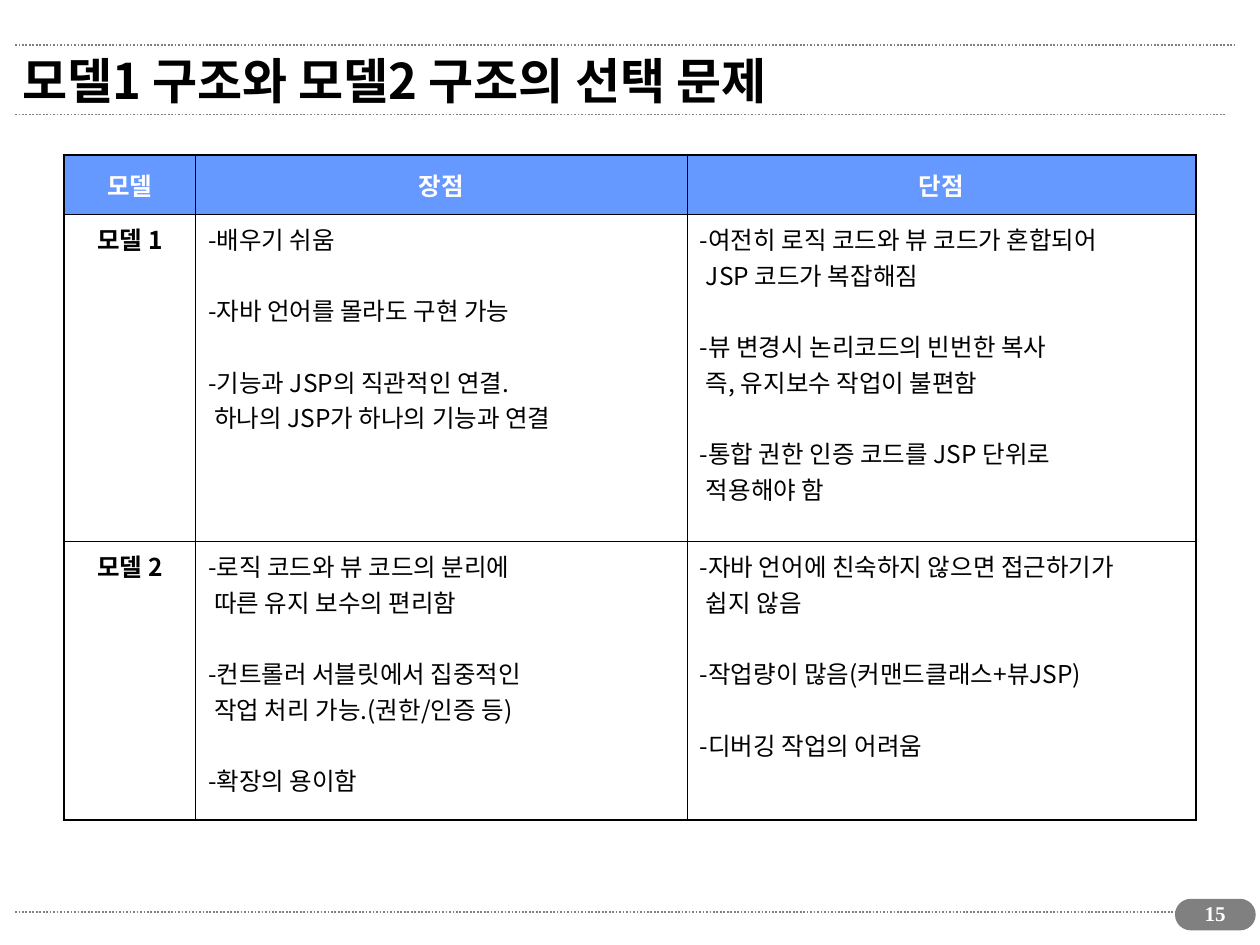
from lxml.etree import SubElement
from pptx import Presentation
from pptx.dml.color import RGBColor
from pptx.enum.dml import MSO_LINE
from pptx.enum.shapes import MSO_CONNECTOR, MSO_SHAPE
from pptx.enum.text import MSO_ANCHOR, MSO_AUTO_SIZE, PP_ALIGN
from pptx.oxml.ns import qn
from pptx.util import Pt

SANS = "Noto Sans CJK KR"
SERIF = "Times New Roman"
GREY = "808080"
BLACK = "000000"
WHITE = "FFFFFF"
BLUE = "6699FF"

HEADS = ["모델", "장점", "단점"]
MODELS = [
    (
        "모델 1",
        ["-배우기 쉬움",
         "-자바 언어를 몰라도 구현 가능",
         "-기능과 JSP의 직관적인 연결.\n하나의 JSP가 하나의 기능과 연결"],
        ["-여전히 로직 코드와 뷰 코드가 혼합되어\nJSP 코드가 복잡해짐",
         "-뷰 변경시 논리코드의 빈번한 복사\n즉, 유지보수 작업이 불편함",
         "-통합 권한 인증 코드를 JSP 단위로\n적용해야 함"],
    ),
    (
        "모델 2",
        ["-로직 코드와 뷰 코드의 분리에\n따른 유지 보수의 편리함",
         "-컨트롤러 서블릿에서 집중적인\n작업 처리 가능.(권한/인증 등)",
         "-확장의 용이함"],
        ["-자바 언어에 친숙하지 않으면 접근하기가\n쉽지 않음",
         "-작업량이 많음(커맨드클래스+뷰JSP)",
         "-디버깅 작업의 어려움"],
    ),
]
WIDTHS = [75, 281, 290.6]
HEIGHTS = [34, 187, 159]


def color(code):
    return RGBColor.from_string(code)


def style(para, face, size, code, bold=False, align=PP_ALIGN.LEFT):
    para.alignment = align
    font = para.font
    font.name, font.size, font.bold = face, Pt(size), bold
    font.color.rgb = color(code)
    SubElement(font._element, qn("a:ea"), typeface=face)


def add_rule(slide, right, top):
    rule = slide.shapes.add_connector(
        MSO_CONNECTOR.STRAIGHT, Pt(8.6), Pt(top), Pt(right), Pt(top))
    rule.line.color.rgb = color(GREY)
    rule.line.width = Pt(1)
    rule.line.dash_style = MSO_LINE.ROUND_DOT
    SubElement(rule._element.spPr, qn("a:effectLst"))


def add_title(slide, text):
    title = slide.shapes.title
    title.left, title.top = Pt(5.8), Pt(20.2)
    title.width, title.height = Pt(655), Pt(51)
    frame = title.text_frame
    frame.text = text
    frame.auto_size = MSO_AUTO_SIZE.NONE
    frame.vertical_anchor = MSO_ANCHOR.MIDDLE
    style(frame.paragraphs[0], SANS, 28, BLACK, True)


def add_badge(slide, text):
    badge = slide.shapes.add_shape(
        MSO_SHAPE.ROUNDED_RECTANGLE, Pt(671.8), Pt(514), Pt(45.4), Pt(17.3))
    badge.adjustments[0] = 0.5
    badge.shadow.inherit = False
    badge.fill.solid()
    badge.fill.fore_color.rgb = color(GREY)
    badge.line.color.rgb = color(GREY)
    badge.line.width = Pt(0.75)
    box = slide.shapes.add_textbox(Pt(674.6), Pt(511.2), Pt(39.6), Pt(24.5))
    box.text_frame.word_wrap = True
    box.text_frame.text = text
    style(box.text_frame.paragraphs[0], SERIF, 12, WHITE, True, PP_ALIGN.CENTER)


def add_edge(cell, side, width):
    edge = SubElement(cell._tc.get_or_add_tcPr(), qn(f"a:ln{side}"), w=str(Pt(width)))
    fill = SubElement(edge, qn("a:solidFill"))
    SubElement(fill, qn("a:srgbClr"), val=BLACK)


def set_edges(cell, row, col):
    outer = {"L": col == 0, "R": col == len(WIDTHS) - 1,
             "T": row == 0, "B": row == len(HEIGHTS) - 1}
    for side, thick in outer.items():
        add_edge(cell, side, 1.5 if thick else 0.5)


def fill_label(cell, text, code):
    cell.text = text
    style(cell.text_frame.paragraphs[0], SANS, 14, code, True, PP_ALIGN.CENTER)


def fill_list(cell, items):
    frame = cell.text_frame
    for i, item in enumerate(items):
        for j, line in enumerate(item.split("\n")):
            first = i == 0 and j == 0
            para = frame.paragraphs[0] if first else frame.add_paragraph()
            para.text = line
            if j:
                para._p.get_or_add_pPr().set("marL", str(Pt(3.5)))
            elif i:
                para.space_before = Pt(20.4)
            style(para, SANS, 14, BLACK)


def add_grid(slide):
    grid = slide.shapes.add_table(
        len(HEIGHTS), len(WIDTHS), Pt(36.7), Pt(88.6),
        Pt(sum(WIDTHS)), Pt(sum(HEIGHTS))).table
    for col, width in zip(grid.columns, WIDTHS):
        col.width = Pt(width)
    for row, height in zip(grid.rows, HEIGHTS):
        row.height = Pt(height)
    for r, texts in enumerate([HEADS, *MODELS]):
        for c, text in enumerate(texts):
            cell = grid.cell(r, c)
            set_edges(cell, r, c)
            if r == 0:
                cell.fill.solid()
                cell.fill.fore_color.rgb = color(BLUE)
                cell.vertical_anchor = MSO_ANCHOR.MIDDLE
                fill_label(cell, text, WHITE)
            else:
                cell.fill.background()
                if c == 0:
                    fill_label(cell, text, BLACK)
                else:
                    fill_list(cell, text)


def main():
    deck = Presentation()
    deck.slide_width, deck.slide_height = Pt(720), Pt(540)
    slide = deck.slides.add_slide(deck.slide_layouts[5])
    for right, top in [(700.6, 521.3), (699.8, 65.5), (705.6, 25.9)]:
        add_rule(slide, right, top)
    add_title(slide, "모델1 구조와 모델2 구조의 선택 문제")
    add_grid(slide)
    add_badge(slide, "15")
    deck.save("out.pptx")


if __name__ == "__main__":
    main()
